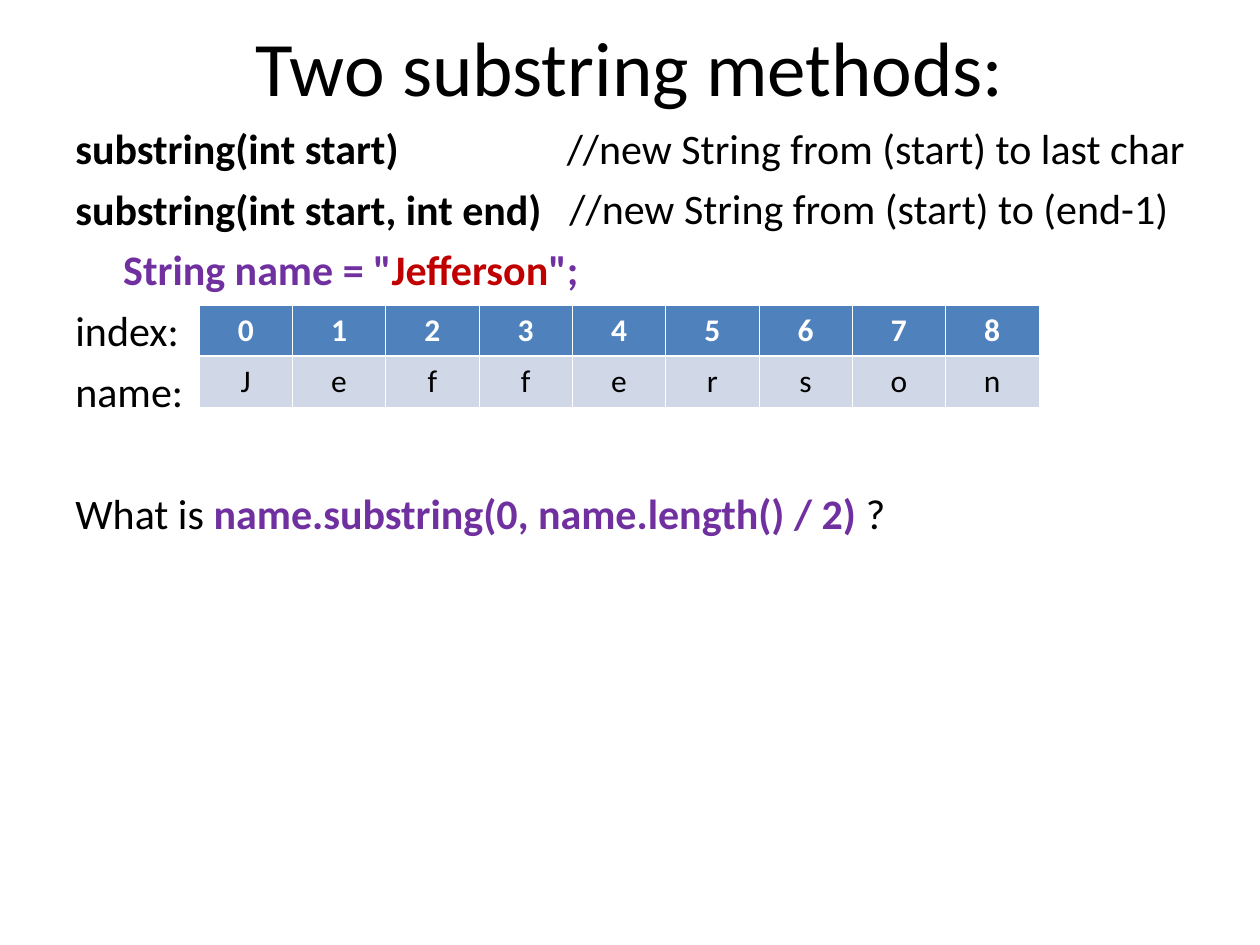
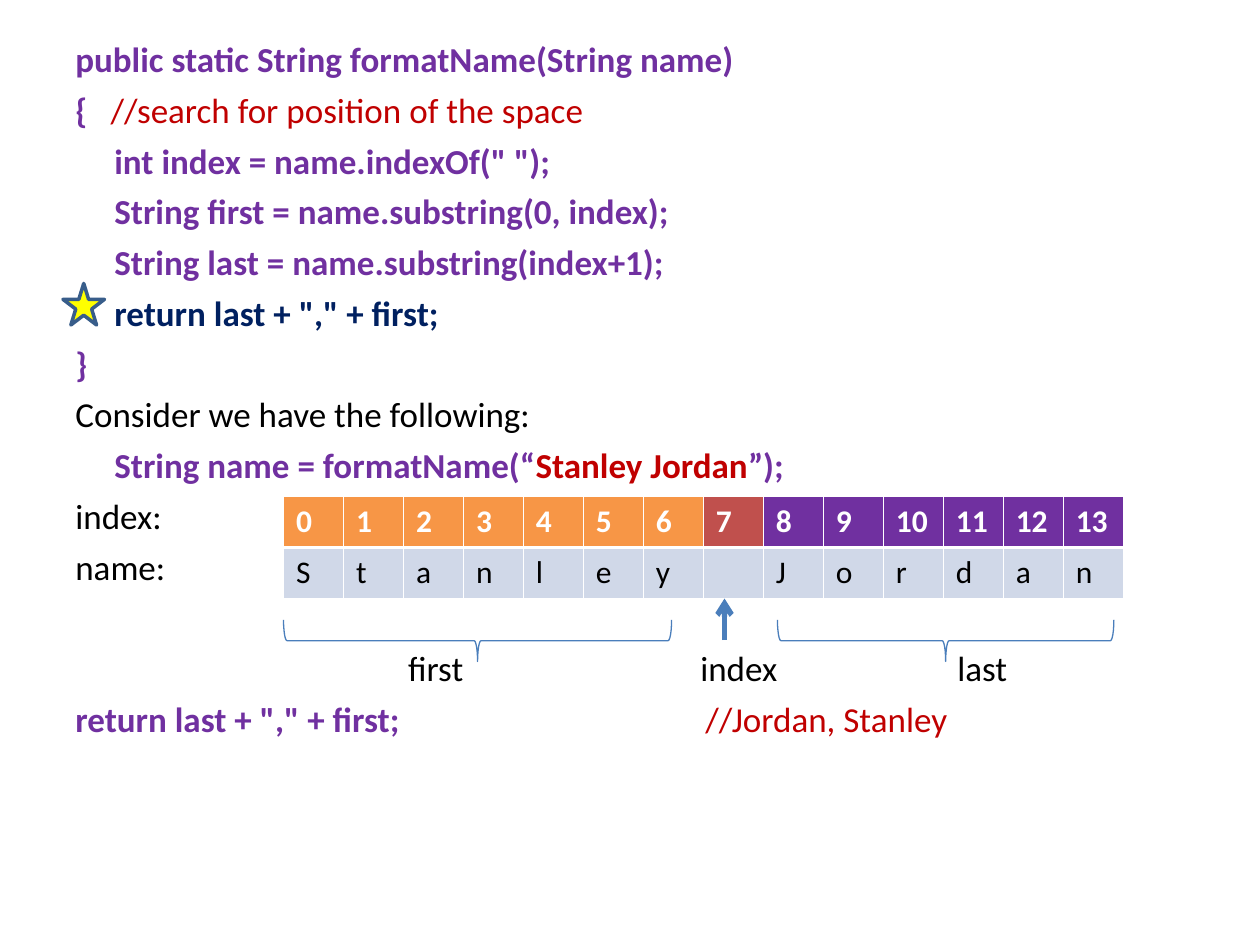
import pptx
import pptx.dml.color
import pptx.enum.shapes
import pptx.enum.text
import pptx.oxml
import pptx.oxml.ns
import pptx.util
from lxml import etree

SHAPES = pptx.enum.shapes.MSO_SHAPE
ALIGN = pptx.enum.text.PP_ALIGN
Inches, Pt = pptx.util.Inches, pptx.util.Pt

WIDTH, HEIGHT = 10, 7.5
FONT = "Calibri"
BLACK, WHITE = "000000", "FFFFFF"
PURPLE, RED, NAVY = "7030A0", "C00000", "002060"
BLUE, ORANGE, BRICK, PALE = "4F81BD", "F79646", "C0504D", "D0D8E8"
LINE_BLUE, STAR_EDGE, YELLOW = "4A7EBB", "385D8A", "FFFF00"

# Run styles: colour, bold
PLAIN, STRONG = (BLACK, False), (BLACK, True)
CODE, STRING, RETURN = (PURPLE, True), (RED, True), (NAVY, True)
COMMENT = (RED, False)

# A line holds its runs and, if needed, an indent or a count of rows left free before it.
# An aside stands beside the lines: row, left, text, style.
METHODS = {
    "title": "Two substring methods:",
    "box": (0.5, 0.92, 9.33, 5.78),
    "size": 24,
    "lines": [
        {"runs": [("substring(int start)", STRONG)]},
        {"runs": [("substring(int start, int end)", STRONG)]},
        {"runs": [('String name = "', CODE), ("Jefferson", STRING), ('";', CODE)],
         "indent": 0.38},
        {"runs": [("index:", PLAIN)]},
        {"runs": [("name:", PLAIN)]},
        {"runs": [("What is ", PLAIN), ("name.substring(0, name.length() / 2) ", CODE),
                  ("?", PLAIN)], "skip": 1},
    ],
    "asides": [
        (0, 4.4, "//new String from (start) to last char", PLAIN),
        (1, 4.42, "//new String from (start) to (end-1)", PLAIN),
    ],
    "letters": "Jefferson",
    "letters_at": (1.58, 2.42),
    "header_fills": [BLUE] * 9,
    "align": ALIGN.CENTER,
}
FORMAT_NAME = {
    "box": (0.5, 0.25, 9, 6.45),
    "size": 20,
    "lines": [
        {"runs": [("public static String formatName(String name)", CODE)]},
        {"runs": [("{", CODE)]},
        {"runs": [('int index = name.indexOf(" ");', CODE)], "indent": 0.31},
        {"runs": [("String first = name.substring(0, index);", CODE)], "indent": 0.31},
        {"runs": [("String last = name.substring(index+1);", CODE)], "indent": 0.31},
        {"runs": [('return last + "," + first;', RETURN)], "indent": 0.31},
        {"runs": [("}", CODE)]},
        {"runs": [("Consider we have the following:", PLAIN)]},
        {"runs": [("String name = formatName(“", CODE), ("Stanley Jordan", STRING),
                  ("”);", CODE)], "indent": 0.31},
        {"runs": [("index:", PLAIN)]},
        {"runs": [("name:", PLAIN)]},
        {"runs": [('return last + "," + first;', CODE)], "skip": 2},
    ],
    "asides": [
        (1, 0.78, "//search for position of the space", COMMENT),
        (12, 3.14, "first", PLAIN),
        (12, 5.46, "index", PLAIN),
        (12, 7.5, "last", PLAIN),
        (13, 5.5, "//Jordan, Stanley", COMMENT),
    ],
    "letters": "Stanley Jordan",
    "letters_at": (2.25, 3.94),
    "header_fills": [ORANGE] * 7 + [BRICK] + [PURPLE] * 6,
    "align": ALIGN.LEFT,
}
BRACES = [(2.25, 3.08), (6.17, 2.67)]  # left, length
BRACE_TOP, BRACE_DEPTH = 4.92, 0.33
INDEX_ARROW = (5.75, 5.08, 5.75, 4.75)
STAR = (0.5, 2.25, 0.33, 0.33)

TABLE_WIDTH, TABLE_HEIGHT = WIDTH * 2 / 3, 0.81
THIN, THICK = 0.45, 1.47
SPACE_BEFORE, ROW_PITCH = 0.25, 1.45  # shares of the text size


def rgb(hex_colour):
    return pptx.dml.color.RGBColor.from_string(hex_colour)


def child(parent, tag, **attributes):
    return etree.SubElement(parent, pptx.oxml.ns.qn(tag), attributes)


def add_run(paragraph, text, size, style):
    run = paragraph.add_run()
    run.text = text
    run.font.name, run.font.size = FONT, Pt(size)
    colour, run.font.bold = style
    run.font.color.rgb = rgb(colour)


def add_text_frame(slide, box):
    frame = slide.shapes.add_textbox(*map(Inches, box)).text_frame
    frame.word_wrap = True
    return frame


def add_title(slide, text):
    frame = add_text_frame(slide, (0.5, 0.17, 9, 0.7))
    frame.vertical_anchor = pptx.enum.text.MSO_ANCHOR.MIDDLE
    frame.paragraphs[0].alignment = ALIGN.CENTER
    add_run(frame.paragraphs[0], text, 44, PLAIN)


def add_lines(slide, box, size, lines):
    frame = add_text_frame(slide, box)
    for number, line in enumerate(lines):
        paragraph = frame.add_paragraph() if number else frame.paragraphs[0]
        paragraph.space_before = Pt(size * (SPACE_BEFORE + line.get("skip", 0) * ROW_PITCH))
        if "indent" in line:
            properties = paragraph._p.get_or_add_pPr()
            properties.set("marL", str(Inches(line["indent"])))
            properties.set("indent", "0")
        for text, style in line["runs"]:
            add_run(paragraph, text, size, style)


def add_asides(slide, top, size, asides):
    pitch = size * ROW_PITCH / 72
    for row, left, text, style in asides:
        frame = add_text_frame(slide, (left, top + row * pitch, WIDTH - left, pitch))
        add_run(frame.paragraphs[0], text, size, style)


def style_cell(cell, fill, borders):
    """Set white borders, given as widths by side, then the fill."""
    properties = cell._tc.get_or_add_tcPr()
    for side, width in borders.items():
        border = child(properties, f"a:ln{side}", w=str(Pt(width)))
        child(child(border, "a:solidFill"), "a:srgbClr", val=WHITE)
    cell.fill.solid()
    cell.fill.fore_color.rgb = rgb(fill)


def add_letter_table(slide, letters, place, header_fills, align):
    """Draw each letter of a string below its index."""
    count = len(letters)
    table = slide.shapes.add_table(2, count, *map(
        Inches, (*place, TABLE_WIDTH, TABLE_HEIGHT))).table
    rows = [
        (map(str, range(count)), header_fills, (WHITE, True), (THIN, THICK)),
        (letters, [PALE] * count, PLAIN, (THICK, THIN)),
    ]
    for row, (texts, fills, style, (top, bottom)) in enumerate(rows):
        for column, (text, fill) in enumerate(zip(texts, fills)):
            cell = table.cell(row, column)
            style_cell(cell, fill, {"L": THIN, "R": THIN, "T": top, "B": bottom})
            paragraph = cell.text_frame.paragraphs[0]
            paragraph.alignment = align
            if text.strip():
                add_run(paragraph, text, 18, style)


def add_outlined(slide, kind, box, colour, width):
    shape = slide.shapes.add_shape(kind, *map(Inches, box))
    shape.shadow.inherit = False
    shape.line.color.rgb = rgb(colour)
    shape.line.width = Pt(width)
    return shape


def add_brace(slide, left, length):
    """Draw a brace below a stretch of the table, its point downwards."""
    middle_x, middle_y = left + length / 2, BRACE_TOP + BRACE_DEPTH / 2
    box = (middle_x - BRACE_DEPTH / 2, middle_y - length / 2, BRACE_DEPTH, length)
    brace = add_outlined(slide, SHAPES.RIGHT_BRACE, box, LINE_BLUE, 0.75)
    brace.fill.background()
    brace.rotation = 90


def add_arrow(slide, ends):
    arrow = slide.shapes.add_connector(
        pptx.enum.shapes.MSO_CONNECTOR.STRAIGHT, *map(Inches, ends))
    arrow.line.color.rgb = rgb(LINE_BLUE)
    arrow.line.width = Pt(3)
    child(arrow.line._get_or_add_ln(), "a:tailEnd", type="arrow")
    child(arrow._element.spPr, "a:effectLst")


def add_slide(presentation, content):
    slide = presentation.slides.add_slide(presentation.slide_layouts[6])
    if "title" in content:
        add_title(slide, content["title"])
    add_lines(slide, content["box"], content["size"], content["lines"])
    add_asides(slide, content["box"][1], content["size"], content["asides"])
    add_letter_table(slide, content["letters"], content["letters_at"],
                     content["header_fills"], content["align"])
    return slide


def main():
    presentation = pptx.Presentation()
    presentation.slide_width, presentation.slide_height = Inches(WIDTH), Inches(HEIGHT)
    add_slide(presentation, METHODS)
    slide = add_slide(presentation, FORMAT_NAME)
    add_arrow(slide, INDEX_ARROW)
    for left, length in BRACES:
        add_brace(slide, left, length)
    star = add_outlined(slide, SHAPES.STAR_5_POINT, STAR, STAR_EDGE, 2)
    star.fill.solid()
    star.fill.fore_color.rgb = rgb(YELLOW)
    presentation.save("out.pptx")


if __name__ == "__main__":
    main()
